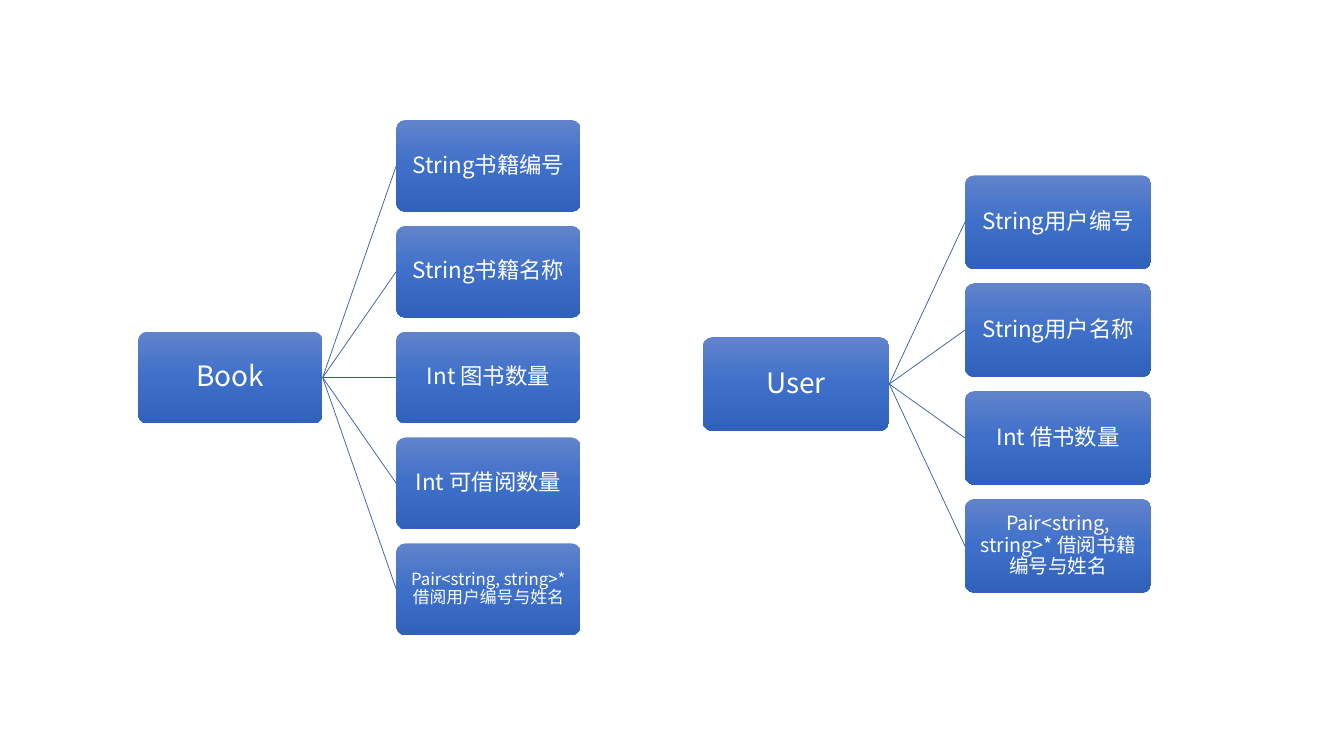
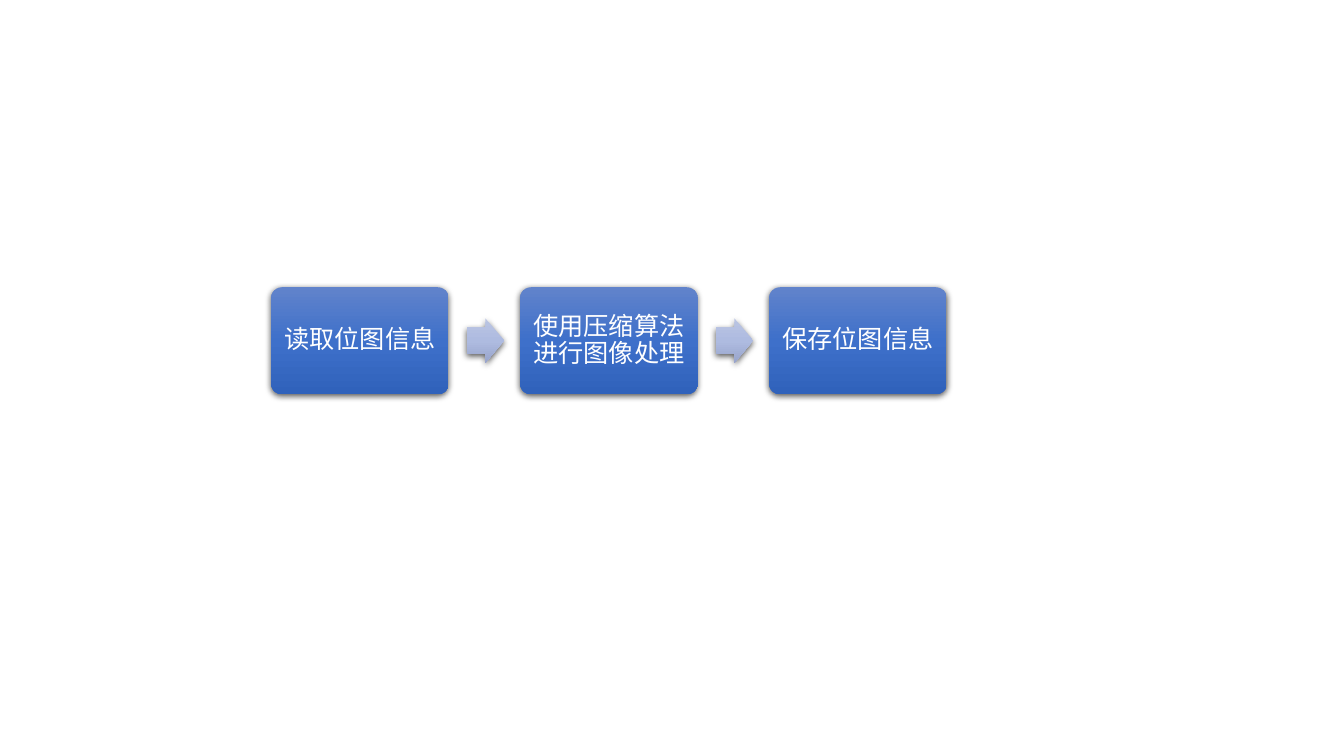
from dataclasses import dataclass

from lxml import etree
from pptx import Presentation
from pptx import util as u
from pptx.dml.color import RGBColor
from pptx.enum import shapes, text
from pptx.oxml.ns import qn
from pptx.shapes.autoshape import Shape
from pptx.slide import Slide


@dataclass(frozen=True)
class Theme:
    font: str = "Noto Sans CJK SC"
    text: str = "FFFFFF"
    line: str = "365B9D"
    line_width: float = 0.5
    box: tuple[str, ...] = ("6183CB", "3E70CA", "3062BB")
    arrow: tuple[str, ...] = ("BBC5E3", "AEBBE0", "98A4CB")
    shadow: str = "000000"
    root_size: int = 20
    field_size: int = 16
    step_size: int = 18


THEME = Theme()


@dataclass(frozen=True)
class Rect:
    left: float
    top: float
    width: float
    height: float


@dataclass(frozen=True)
class Field:
    label: str
    size: int = THEME.field_size


@dataclass(frozen=True)
class Tree:
    """A root box joined to a column of fields; lengths in inches."""
    name: str
    root_left: float
    field_left: float
    top: float
    width: float
    height: float
    pitch: float
    fields: tuple[Field, ...]


@dataclass(frozen=True)
class Flow:
    first: Rect
    pitch: float
    arrow_offset: float
    arrow_width: float
    arrow_height: float
    steps: tuple[str, ...]


TREES = (
    Tree("Book", 1.37, 3.93, 1.19, 1.83, 0.91, 1.05, (
        Field("String书籍编号"),
        Field("String书籍名称"),
        Field("Int 图书数量"),
        Field("Int 可借阅数量"),
        Field("Pair<string, string>* 借阅用户编号与姓名", 12),
    )),
    Tree("User", 6.97, 9.57, 1.74, 1.85, 0.93, 1.07, (
        Field("String用户编号"),
        Field("String用户名称"),
        Field("Int 借书数量"),
        Field("Pair<string, string>* 借阅书籍编号与姓名", 14),
    )),
)

FLOW = Flow(Rect(2.69, 2.85, 1.76, 1.06), 2.47, 1.94, 0.37, 0.44,
            ("读取位图信息", "使用压缩算法进行图像处理", "保存位图信息"))


def set_gradient(sp: Shape, colors: tuple[str, ...]) -> None:
    """Fill from top to bottom with evenly spaced colours."""
    sp.fill.gradient()
    sp.fill.gradient_angle = 270
    stops = sp._element.spPr.find(".//" + qn("a:gsLst"))
    for old in list(stops):
        stops.remove(old)
    for i, color in enumerate(colors):
        pos = str(100000 * i // (len(colors) - 1))
        stop = etree.SubElement(stops, qn("a:gs"), pos=pos)
        etree.SubElement(stop, qn("a:srgbClr"), val=color)


def add_shadow(sp: Shape) -> None:
    effects = sp._element.spPr.find(qn("a:effectLst"))
    shadow = etree.SubElement(
        effects, qn("a:outerShdw"), blurRad=str(u.Pt(4.5)),
        dist=str(u.Pt(1.5)), dir="5400000", algn="ctr", rotWithShape="0")
    color = etree.SubElement(shadow, qn("a:srgbClr"), val=THEME.shadow)
    etree.SubElement(color, qn("a:alpha"), val="63000")


def add_filled(slide: Slide, kind: shapes.MSO_SHAPE, rect: Rect,
               colors: tuple[str, ...], adjustments: tuple[float, ...],
               shadow: bool) -> Shape:
    sp = slide.shapes.add_shape(
        kind, u.Inches(rect.left), u.Inches(rect.top),
        u.Inches(rect.width), u.Inches(rect.height))
    for i, value in enumerate(adjustments):
        sp.adjustments[i] = value
    set_gradient(sp, colors)
    sp.line.fill.background()
    sp.shadow.inherit = False
    if shadow:
        add_shadow(sp)
    return sp


def add_box(slide: Slide, rect: Rect, label: str, size: int,
            margin: float, shadow: bool = False) -> Shape:
    sp = add_filled(slide, shapes.MSO_SHAPE.ROUNDED_RECTANGLE, rect,
                    THEME.box, (0.1,), shadow)
    tf = sp.text_frame
    inset = u.Inches(margin)
    frame_format = {
        "word_wrap": True, "vertical_anchor": text.MSO_ANCHOR.MIDDLE,
        "margin_left": inset, "margin_right": inset,
        "margin_top": inset, "margin_bottom": inset,
    }
    for name, value in frame_format.items():
        setattr(tf, name, value)
    p = tf.paragraphs[0]
    p.alignment = text.PP_ALIGN.CENTER
    p.line_spacing = 0.9
    r = p.add_run()
    r.text = label
    for name, value in {"size": u.Pt(size), "name": THEME.font}.items():
        setattr(r.font, name, value)
    r.font.color.rgb = RGBColor.from_string(THEME.text)
    etree.SubElement(r._r.get_or_add_rPr(), qn("a:ea"), typeface=THEME.font)
    return sp


def join(slide: Slide, root: Shape, field: Shape) -> None:
    """Draw a line from the root's right side to the field's left side."""
    line = slide.shapes.add_connector(shapes.MSO_CONNECTOR.STRAIGHT, 0, 0, 0, 0)
    line.begin_connect(root, 3)
    line.end_connect(field, 1)
    line.line.color.rgb = RGBColor.from_string(THEME.line)
    line.line.width = u.Pt(THEME.line_width)
    etree.SubElement(line._element.spPr, qn("a:effectLst"))


def draw_tree(slide: Slide, tree: Tree) -> None:
    root_top = tree.top + tree.pitch * (len(tree.fields) - 1) / 2
    root = add_box(slide, Rect(tree.root_left, root_top, tree.width, tree.height),
                   tree.name, THEME.root_size, 0.05)
    for i, field in enumerate(tree.fields):
        rect = Rect(tree.field_left, tree.top + i * tree.pitch,
                    tree.width, tree.height)
        join(slide, root, add_box(slide, rect, field.label, field.size, 0.05))


def draw_flow(slide: Slide, flow: Flow) -> None:
    first = flow.first
    arrow_top = first.top + (first.height - flow.arrow_height) / 2
    for i, step in enumerate(flow.steps):
        left = first.left + i * flow.pitch
        add_box(slide, Rect(left, first.top, first.width, first.height),
                step, THEME.step_size, 0.07, shadow=True)
        if i < len(flow.steps) - 1:
            rect = Rect(left + flow.arrow_offset, arrow_top,
                        flow.arrow_width, flow.arrow_height)
            add_filled(slide, shapes.MSO_SHAPE.RIGHT_ARROW, rect,
                       THEME.arrow, (0.6, 0.5), shadow=True)


def main() -> None:
    prs = Presentation()
    prs.slide_width, prs.slide_height = u.Inches(13.33), u.Inches(7.5)
    blank = prs.slide_layouts[6]
    classes = prs.slides.add_slide(blank)
    for tree in TREES:
        draw_tree(classes, tree)
    draw_flow(prs.slides.add_slide(blank), FLOW)
    prs.save("out.pptx")


if __name__ == "__main__":
    main()
